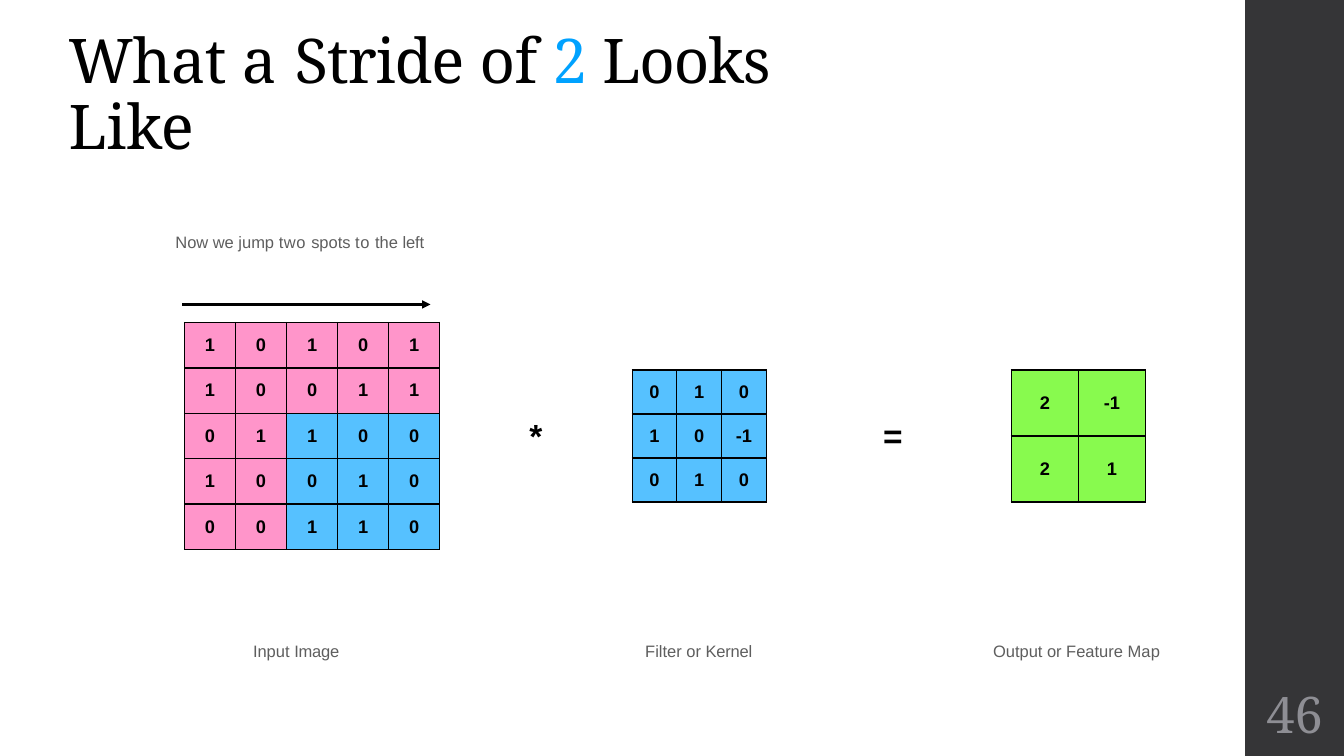
from lxml import etree
from pptx import Presentation
from pptx import util as u
from pptx.dml.color import RGBColor
from pptx.enum import shapes, text
from pptx.oxml import ns

COLORS = {
    "ink": "000000", "caption": "5E5E5E", "accent": "00A2FF",
    "sidebar": "353537", "number": "8E8E94",
    "pink": "FF95CA", "blue": "56C1FF", "green": "88FA4E",
}
SANS, SERIF = "Arial", "Noto Serif"


def rgb(name):
    return RGBColor.from_string(COLORS[name])


def sub(parent, tag, **attrs):
    return etree.SubElement(parent, ns.qn(tag), **attrs)


def box_of(x, y, w, h):
    return [u.Inches(v) for v in (x, y, w, h)]


def add_run(p, words, size, color="ink", font=SANS, bold=False, spacing=0):
    r = p.add_run()
    r.text = words
    r.font.size, r.font.name, r.font.bold = u.Pt(size), font, bold
    r.font.color.rgb = rgb(color)
    if spacing:
        r._r.get_or_add_rPr().set("spc", str(round(spacing * 100)))


def set_frame(tf, anchor, margin=0.0, top=0.0):
    tf.word_wrap = True
    tf.vertical_anchor = anchor
    tf.margin_left = tf.margin_right = tf.margin_bottom = u.Inches(margin)
    tf.margin_top = u.Inches(top)


# Title: one run per (words, letter spacing, colour)
def add_title(s, box):
    sp = s.shapes.title
    sp.left, sp.top, sp.width, sp.height = box_of(*box)
    tf = sp.text_frame
    set_frame(tf, text.MSO_ANCHOR.MIDDLE, top=0.01)
    tf.auto_size = text.MSO_AUTO_SIZE.SHAPE_TO_FIT_TEXT
    p = tf.paragraphs[0]
    p.alignment = text.PP_ALIGN.LEFT
    p.line_spacing = 0.9
    for words, spacing, color in (
            ("What ", -0.5, "ink"), ("a ", 0.7, "ink"), ("Stride ", -0.7, "ink"),
            ("of ", -0.5, "ink"), ("2 ", -0.5, "accent"),
            ("Looks ", -0.9, "ink"), ("Like", -0.1, "ink")):
        add_run(p, words, 44, color, SERIF, spacing=spacing)


# Dark band on the right with the slide number
def add_sidebar(s, box):
    x, y, w, h = box
    band = s.shapes.add_shape(shapes.MSO_SHAPE.RECTANGLE, *box_of(*box))
    band.shadow.inherit = False
    band.fill.solid()
    band.fill.fore_color.rgb = rgb("sidebar")
    band.line.fill.background()
    tf = s.shapes.add_textbox(*box_of(x, y + h - 0.75, w, 0.65)).text_frame
    set_frame(tf, text.MSO_ANCHOR.MIDDLE, 0.05, 0.05)
    p = tf.paragraphs[0]
    p.alignment = text.PP_ALIGN.CENTER
    add_run(p, "46", 36, "number", SERIF)


# One-line label made of (words, letter spacing) runs
def add_label(s, box, runs, size=11.8, color="caption", bold=False):
    tf = s.shapes.add_textbox(*box_of(*box)).text_frame
    set_frame(tf, text.MSO_ANCHOR.TOP, top=0.01)
    p = tf.paragraphs[0]
    p.space_before = u.Pt(0.8)
    p._p.get_or_add_pPr().set("marL", str(u.Inches(0.01)))
    for words, spacing in runs:
        add_run(p, words, size, color, bold=bold, spacing=spacing)


def set_borders(cell):
    tcPr = cell._tc.get_or_add_tcPr()
    for side in ("a:lnL", "a:lnR", "a:lnT", "a:lnB"):
        ln = sub(tcPr, side, w=str(u.Pt(1)))
        sub(sub(ln, "a:solidFill"), "a:srgbClr", val=COLORS["ink"])


# Grid of numbers; color_at(row, column) names the cell fill
def add_matrix(s, box, values, color_at):
    rows, cols = len(values), len(values[0])
    table = s.shapes.add_table(rows, cols, *box_of(*box)).table
    table.first_row = table.horz_banding = False
    for column in table.columns:
        column.width = u.Inches(box[2] / cols)
    for i, row in enumerate(values):
        table.rows[i].height = u.Inches(box[3] / rows)
        for j, value in enumerate(row):
            cell = table.cell(i, j)
            set_borders(cell)
            cell.fill.solid()
            cell.fill.fore_color.rgb = rgb(color_at(i, j))
            cell.margin_left = cell.margin_right = 0
            cell.margin_top = cell.margin_bottom = 0
            cell.vertical_anchor = text.MSO_ANCHOR.MIDDLE
            p = cell.text_frame.paragraphs[0]
            p.alignment = text.PP_ALIGN.CENTER
            add_run(p, str(value), 13, bold=True)


# Arrow showing the direction of the stride
def add_stride_arrow(s, x, y, length):
    line = s.shapes.add_connector(
        shapes.MSO_CONNECTOR.STRAIGHT, *box_of(x, y, x + length, y))
    line.line.color.rgb = rgb("ink")
    line.line.width = u.Pt(1.65)
    sub(line.line._get_or_add_ln(), "a:tailEnd", type="triangle")
    sub(line._element.spPr, "a:effectLst")


# Input * kernel = output
def add_convolution(s, box):
    x, y, w, h = box
    middle = y + h / 2
    image = [[1, 0, 1, 0, 1], [1, 0, 0, 1, 1], [0, 1, 1, 0, 0],
             [1, 0, 0, 1, 0], [0, 0, 1, 1, 0]]
    kernel = [[0, 1, 0], [1, 0, -1], [0, 1, 0]]
    output = [[2, -1], [2, 1]]
    small = 1.31
    top = middle - small / 2
    add_matrix(s, (x, y, 2.53, h), image,
               lambda i, j: "blue" if i >= 2 and j >= 2 else "pink")
    add_matrix(s, (x + 4.44, top, 1.33, small), kernel, lambda i, j: "blue")
    add_matrix(s, (x + w - 1.33, top, 1.33, small), output, lambda i, j: "green")
    for sign, dx, width in (("*", 3.41, 0.2), ("=", 6.92, 0.25)):
        add_label(s, (x + dx, middle - 0.22, width, 0.41), [(sign, 0)],
                  23.9, "ink", True)
    for dx, width, runs in (
            (0.67, 0.95, [("Input ", 0), ("Image", -0.1)]),
            (4.56, 1.16, [("Filter or ", 0), ("Kernel", -0.1)]),
            (8.01, 1.77, [("Output or Feature ", 0), ("Map", 0.1)])):
        add_label(s, (x + dx, y + 3.15, width, 0.21), runs)
    add_label(s, (x - 0.1, y - 0.91, 2.62, 0.21),
              [("Now we jump ", 0), ("two ", 0.4), ("spots ", 0),
               ("to ", 0.4), ("the ", 0), ("left", -0.1)])
    add_stride_arrow(s, x - 0.02, y - 0.18, 2.46)


def main():
    prs = Presentation()
    prs.slide_width, prs.slide_height = u.Inches(13.33), u.Inches(7.5)
    s = prs.slides.add_slide(prs.slide_layouts[5])
    add_sidebar(s, (12.35, 0, 0.98, 7.5))
    add_title(s, (0.68, 0.58, 7.92, 0.75))
    add_convolution(s, (1.83, 3.2, 9.53, 2.25))
    prs.save("out.pptx")


if __name__ == "__main__":
    main()
